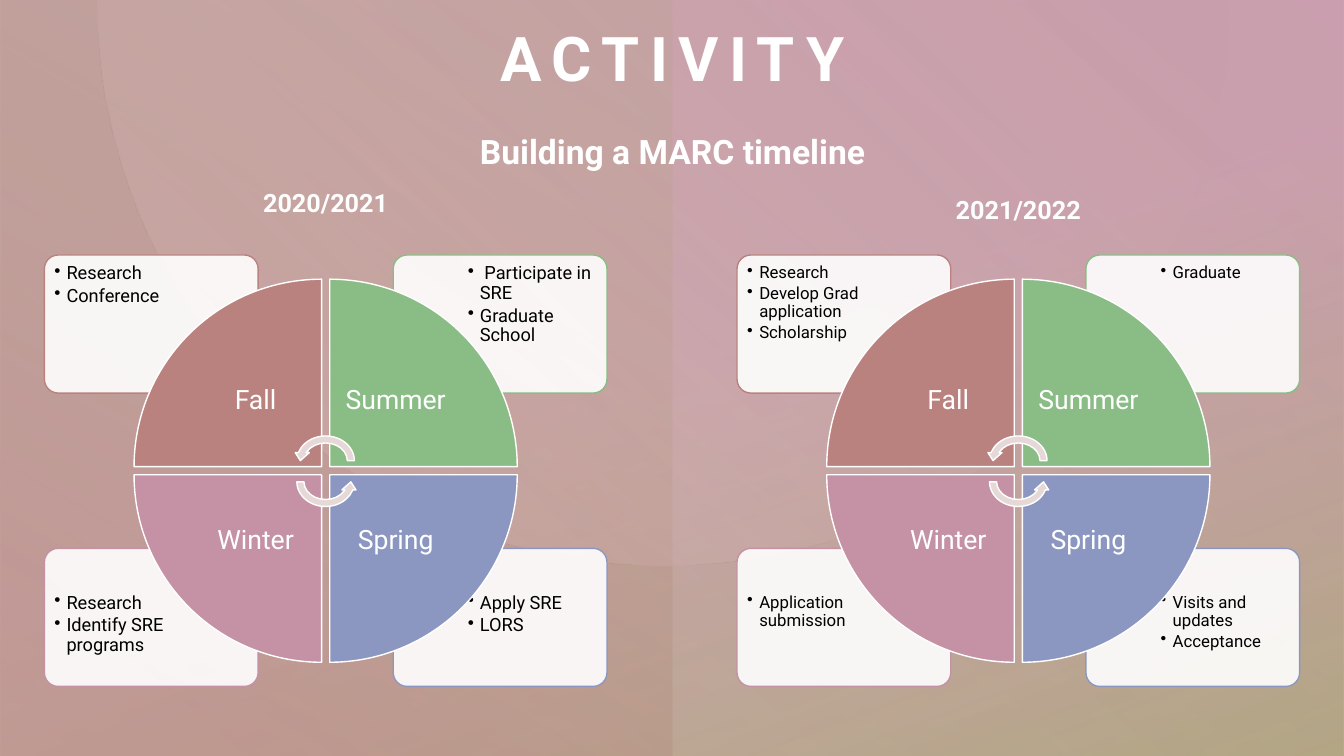
from dataclasses import dataclass
from math import cos, pi, sin

from lxml.etree import SubElement
from pptx import Presentation
from pptx.dml.color import RGBColor
from pptx.enum.shapes import MSO_SHAPE as Preset
from pptx.enum.text import MSO_ANCHOR as Anchor, PP_ALIGN as Align
from pptx.oxml.ns import qn
from pptx.util import Inches, Pt


@dataclass(frozen=True)
class Theme:
    font: str = "Roboto"
    white: str = "FFFFFF"
    black: str = "000000"
    clay: str = "BA827F"
    green: str = "8ABD85"
    blue: str = "8C97C1"
    mauve: str = "C492A4"
    sand: str = "CBC7AB"
    olive: str = "A9A273"
    blush: str = "D6B4B2"
    arrow: str = "E7D8D8"
    title: float = 44
    subtitle: float = 24
    year: float = 18
    season: float = 19


THEME = Theme()
WIDTH, HEIGHT = 13.33, 7.5
RING_Y = 4.67

SEASONS = {
    "Fall": (-1, -1, 0, THEME.clay),
    "Summer": (1, -1, 90, THEME.green),
    "Spring": (1, 1, 180, THEME.blue),
    "Winter": (-1, 1, 270, THEME.mauve),
}

YEARS = [
    ("2020/2021", 3.23, 1.81, 13, {
        "Fall": ["Research", "Conference"],
        "Summer": [" Participate in SRE", "Graduate School"],
        "Spring": ["Apply SRE", "LORS"],
        "Winter": ["Research", "Identify SRE programs"],
    }),
    ("2021/2022", 10.1, 1.88, 12, {
        "Fall": ["Research", "Develop Grad application", "Scholarship"],
        "Summer": ["Graduate"],
        "Spring": ["Visits and updates", "Acceptance"],
        "Winter": ["Application submission"],
    }),
]


def set_alpha(color_element, percent):
    SubElement(color_element, qn("a:alpha")).set("val", str(percent * 1000))


def paint(shape, fill, line=None, alpha=100):
    shape.shadow.inherit = False
    shape.fill.solid()
    shape.fill.fore_color.rgb = RGBColor.from_string(fill)
    if alpha < 100:
        set_alpha(shape._element.spPr.find(".//" + qn("a:srgbClr")), alpha)
    if line:
        shape.line.color.rgb = RGBColor.from_string(line)
        shape.line.width = Pt(1)
    else:
        shape.line.fill.background()


def paint_gradient(shape, stops, angle):
    shape.shadow.inherit = False
    shape.line.fill.background()
    shape.fill.gradient()
    shape.fill.gradient_angle = 360 - angle
    for stop, (position, color, alpha) in zip(shape.fill.gradient_stops, stops):
        stop.position = position / 100
        stop.color.rgb = RGBColor.from_string(color)
    colors = shape._element.spPr.findall(".//" + qn("a:gs") + "/" + qn("a:srgbClr"))
    for element, (position, color, alpha) in zip(colors, stops):
        set_alpha(element, alpha)


def add_preset(parent, preset, left, top, width, height, rotation=0, flip=False):
    shape = parent.shapes.add_shape(
        preset, Inches(left), Inches(top), Inches(width), Inches(height))
    shape.rotation = rotation
    if flip:
        shape._element.spPr.find(qn("a:xfrm")).set("flipH", "1")
    return shape


def add_text(parent, lines, left, top, width, height, size, color=THEME.white,
             bold=False, inset=(0.1, 0.05), anchor=Anchor.TOP, align=Align.CENTER,
             spacing=1.0, tracking=0, bullets=False):
    box = parent.shapes.add_textbox(
        Inches(left), Inches(top), Inches(width), Inches(height))
    frame = box.text_frame
    frame.word_wrap = True
    frame.vertical_anchor = anchor
    frame.margin_left = frame.margin_right = Inches(inset[0])
    frame.margin_top = frame.margin_bottom = Inches(inset[1])
    for index, line in enumerate(lines):
        para = frame.paragraphs[0] if index == 0 else frame.add_paragraph()
        para.alignment = align
        para.line_spacing = spacing
        if bullets:
            para.space_after = Pt(2)
            properties = para._p.get_or_add_pPr()
            properties.set("marL", str(Inches(0.12)))
            properties.set("indent", str(-Inches(0.12)))
            SubElement(properties, qn("a:buChar")).set("char", "•")
        run = para.add_run()
        run.text = line
        run.font.name = THEME.font
        run.font.size = Pt(size)
        run.font.bold = bold
        run.font.color.rgb = RGBColor.from_string(color)
        if tracking:
            run._r.get_or_add_rPr().set("spc", str(tracking))


def corner(center_x, side, row, near, size):
    left = center_x + (near[0] if side > 0 else -near[0] - size[0])
    top = RING_Y + (near[1] if row > 0 else -near[1] - size[1])
    return left, top, *size


def add_card(group, center_x, season, items, size):
    side, row, _, color = SEASONS[season]
    card = add_preset(group, Preset.ROUNDED_RECTANGLE,
                      *corner(center_x, side, row, (0.67, 0.77), (2.12, 1.37)))
    card.adjustments[0] = 0.1
    paint(card, THEME.white, color, 90)
    add_text(group, items, *corner(center_x, side, row, (1.34, 1.15), (1.42, 0.97)),
             size, THEME.black, inset=(0.07, 0.07), align=Align.LEFT,
             spacing=0.9, bullets=True)


def add_wedge(group, center_x, season):
    side, row, rotation, color = SEASONS[season]
    near = (0.04, 0.04)
    wedge = add_preset(group, Preset.PIE_WEDGE,
                       *corner(center_x, side, row, near, (1.86, 1.86)), rotation)
    paint(wedge, color, THEME.white)
    add_text(group, [season], *corner(center_x, side, row, near, (1.31, 1.31)),
             THEME.season, inset=(0.15, 0.15), anchor=Anchor.MIDDLE, spacing=0.9)


def add_ring(page, center_x, size, plans):
    group = page.shapes.add_group_shape()
    for season in ("Spring", "Winter", "Summer", "Fall"):
        add_card(group, center_x, season, plans[season], size)
    for season in SEASONS:
        add_wedge(group, center_x, season)
    for top, rotation in ((4.29, 0), (4.5, 180)):
        arrow = add_preset(group, Preset.CIRCULAR_ARROW, center_x - 0.32, top,
                           0.64, 0.56, rotation, flip=True)
        paint(arrow, THEME.arrow, THEME.white)


def add_half_disc(page, center_x, radius):
    steps = 90
    points = [(Inches(center_x + radius * cos(pi * step / steps)),
               Inches(radius * sin(pi * step / steps))) for step in range(steps + 1)]
    builder = page.shapes.build_freeform(*points[0])
    builder.add_line_segments(points[1:], close=True)
    paint_gradient(builder.convert_to_shape(),
                   [(7, THEME.blush, 3), (100, THEME.blush, 37)], 135)


def add_backdrop(page):
    paint(add_preset(page, Preset.RECTANGLE, 0, 0, WIDTH, HEIGHT), THEME.white)
    washes = [
        (WIDTH, True, 230, [(0, THEME.mauve, 75), (100, THEME.sand, 100)]),
        (WIDTH, False, 250, [(49, THEME.mauve, 50), (100, THEME.olive, 74)]),
        (WIDTH / 2, True, 240, [(0, THEME.olive, 17), (85, THEME.clay, 40)]),
    ]
    for width, flip, angle, stops in washes:
        wash = add_preset(page, Preset.RECTANGLE, 0, 0, width, HEIGHT, 180, flip)
        paint_gradient(wash, stops, angle)
    add_half_disc(page, 6.58, 5.61)


def main():
    deck = Presentation()
    deck.slide_width, deck.slide_height = Inches(WIDTH), Inches(HEIGHT)
    page = deck.slides.add_slide(deck.slide_layouts[6])
    add_backdrop(page)
    add_text(page, ["ACTIVITY"], 1.67, 0.11, 10, 0.91, THEME.title, bold=True,
             inset=(0, 0), anchor=Anchor.MIDDLE, tracking=750)
    add_text(page, ["Building a MARC timeline"], 1.06, 0.85, 11.22, 0.79,
             THEME.subtitle, bold=True, spacing=2.0)
    for year, center_x, top, size, plans in YEARS:
        add_ring(page, center_x, size, plans)
        add_text(page, [year], center_x - 1, top, 2, 0.4, THEME.year, bold=True)
    deck.save("out.pptx")


if __name__ == "__main__":
    main()
